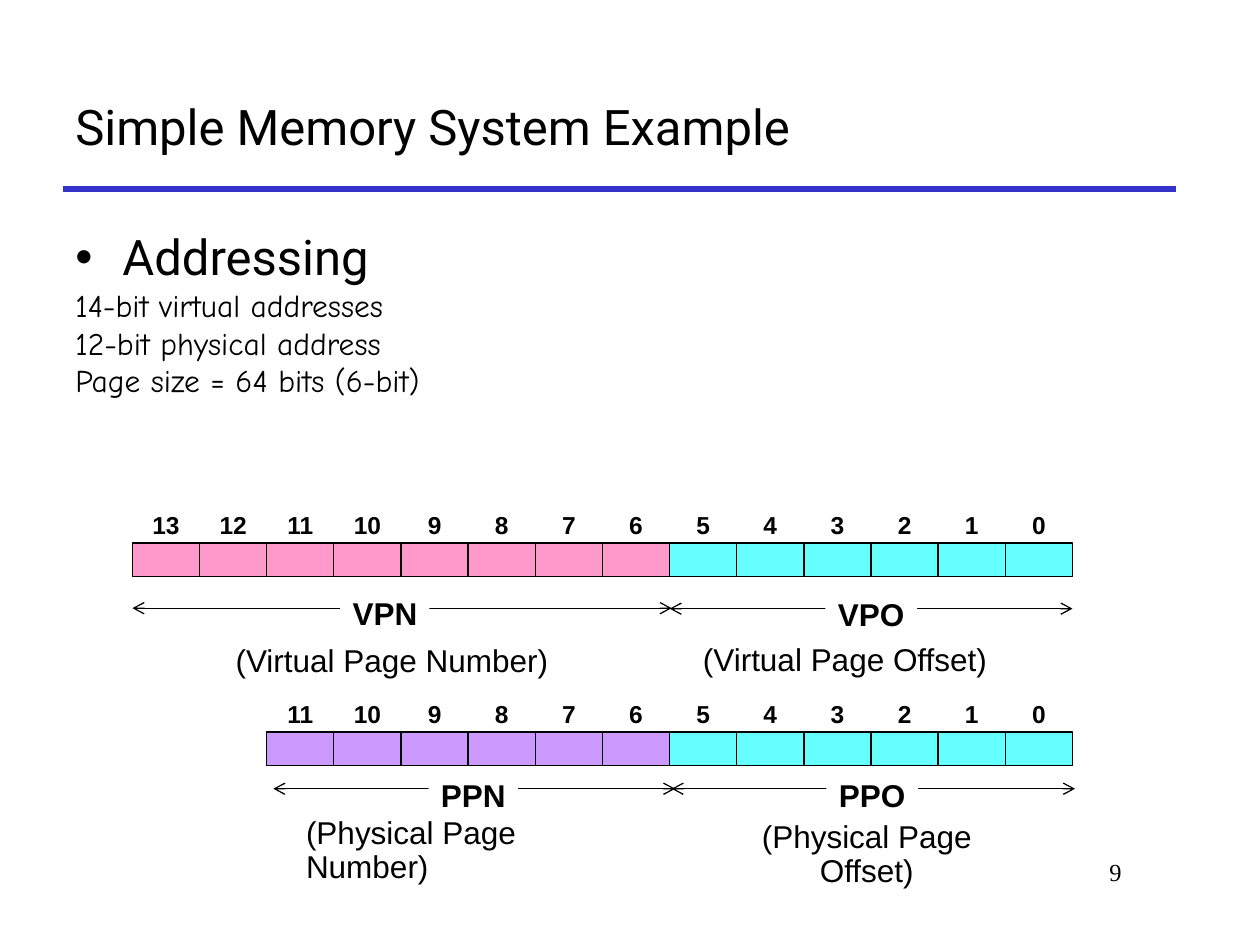
from dataclasses import dataclass

from lxml import etree
from pptx import Presentation
from pptx.dml.color import RGBColor
from pptx.enum.shapes import MSO_CONNECTOR, MSO_SHAPE
from pptx.enum.text import MSO_ANCHOR, PP_ALIGN
from pptx.oxml.ns import qn
from pptx.util import Cm, Pt

RECTANGLE = MSO_SHAPE.RECTANGLE
STRAIGHT = MSO_CONNECTOR.STRAIGHT
LEFT, CENTER, RIGHT = PP_ALIGN.LEFT, PP_ALIGN.CENTER, PP_ALIGN.RIGHT
TOP, MIDDLE = MSO_ANCHOR.TOP, MSO_ANCHOR.MIDDLE

COLORS = {
    "ink": "000000",
    "paper": "FFFFFF",
    "rule": "3333CC",
    "virtual number": "FF99CC",
    "physical number": "CC99FF",
    "offset": "66FFFF",
}

# All lengths are in centimetres.
ROW_LEFT, ROW_RIGHT = 2.67, 21.62
VIRTUAL_BITS, PHYSICAL_BITS, OFFSET_BITS = 14, 12, 6
BIT_WIDTH = (ROW_RIGHT - ROW_LEFT) / VIRTUAL_BITS
BIT_HEIGHT = 0.67
TAG_HEIGHT = 0.94


@dataclass(frozen=True)
class Style:
    font: str
    size: float
    bold: bool = False
    align: PP_ALIGN = LEFT
    anchor: MSO_ANCHOR = TOP
    wrap: bool = True
    line_spacing: float = 1.0


@dataclass(frozen=True)
class Address:
    bits: int
    top: float
    number_color: str


@dataclass(frozen=True)
class Field:
    tag: str
    meaning: str
    start: float
    end: float
    arrow_y: float
    tag_left: float
    tag_top: float
    tag_width: float
    meaning_left: float
    meaning_top: float
    meaning_width: float
    meaning_style: Style


TITLE = Style("Roboto", 28, anchor=MIDDLE)
HEADING = Style("Roboto", 28)
DETAIL = Style("Comic Neue", 18)
PAGE_NUMBER = Style("Times New Roman", 14, align=RIGHT)
BIT = Style("Arial", 14, True, CENTER, MIDDLE, False, 0.9)
TAG = Style("Arial", 18, True, wrap=False, line_spacing=0.9)
MEANING = Style("Arial", 18, wrap=False, line_spacing=0.9)
WRAPPED = Style("Arial", 18, line_spacing=0.9)
WRAPPED_CENTER = Style("Arial", 18, align=CENTER, line_spacing=0.9)

ADDRESSES = [
    Address(VIRTUAL_BITS, 10.95, "virtual number"),
    Address(PHYSICAL_BITS, 14.76, "physical number"),
]
FIELDS = [
    Field("VPO", "(Virtual Page Offset)", 13.5, 21.62, 12.27,
          16.64, 11.96, 1.85, 13.92, 12.87, 6.25, MEANING),
    Field("PPO", "(Physical Page Offset)", 13.54, 21.67, 15.9,
          16.66, 15.6, 1.85, 14.3, 16.43, 6.35, WRAPPED_CENTER),
    Field("PPN", "(Physical Page Number)", 5.51, 13.61, 15.9,
          8.64, 15.6, 1.8, 5.92, 16.36, 6.35, WRAPPED),
    Field("VPN", "(Virtual Page Number)", 2.67, 13.54, 12.26,
          6.86, 11.94, 1.8, 4.5, 12.88, 6.81, MEANING),
]
DETAILS = [
    "14-bit virtual addresses",
    "12-bit physical address",
    "Page size = 64 bits (6-bit)",
]


def rgb(name: str) -> RGBColor:
    return RGBColor.from_string(COLORS[name])


def write(paragraph, text: str, style: Style) -> None:
    paragraph.alignment = style.align
    paragraph.line_spacing = style.line_spacing
    run = paragraph.add_run()
    run.text = text
    run.font.name = style.font
    run.font.size = Pt(style.size)
    run.font.bold = style.bold
    run.font.color.rgb = rgb("ink")


def fill_frame(frame, text: str, style: Style) -> None:
    frame.word_wrap = style.wrap
    frame.vertical_anchor = style.anchor
    write(frame.paragraphs[0], text, style)


def add_text(slide, left: float, top: float, width: float, height: float,
             text: str, style: Style):
    box = slide.shapes.add_textbox(Cm(left), Cm(top), Cm(width), Cm(height))
    fill_frame(box.text_frame, text, style)
    return box.text_frame


def add_rectangle(slide, left: float, top: float, width: float, height: float,
                  color: str):
    rectangle = slide.shapes.add_shape(
        RECTANGLE, Cm(left), Cm(top), Cm(width), Cm(height))
    rectangle.shadow.inherit = False
    rectangle.fill.solid()
    rectangle.fill.fore_color.rgb = rgb(color)
    return rectangle


def add_line(slide, start: float, end: float, y: float, color: str,
             weight: float, arrows: bool = False) -> None:
    """Draw a horizontal line, with open arrowheads at both ends if asked."""
    line = slide.shapes.add_connector(STRAIGHT, Cm(start), Cm(y), Cm(end), Cm(y))
    line.line.color.rgb = rgb(color)
    line.line.width = Pt(weight)
    if arrows:
        outline = line.line._get_or_add_ln()
        for end_name in ("a:headEnd", "a:tailEnd"):
            etree.SubElement(outline, qn(end_name), type="arrow")
    etree.SubElement(line._element.spPr, qn("a:effectLst"))


def add_body(slide) -> None:
    frame = add_text(slide, 1.27, 4.45, 23.06, 5.28, "Addressing", HEADING)
    properties = frame.paragraphs[0]._p.get_or_add_pPr()
    properties.set("marL", str(Cm(0.95)))
    properties.set("indent", str(Cm(-0.95)))
    etree.SubElement(properties, qn("a:buFont"), typeface="Arial")
    etree.SubElement(properties, qn("a:buChar"), char="•")
    for detail in DETAILS:
        write(frame.add_paragraph(), detail, DETAIL)


def add_address(slide, address: Address) -> None:
    """Draw numbered bit cells, highest bit first, aligned to the right."""
    for bit in reversed(range(address.bits)):
        left = ROW_RIGHT - (bit + 1) * BIT_WIDTH
        color = "offset" if bit < OFFSET_BITS else address.number_color
        cell = add_rectangle(slide, left, address.top, BIT_WIDTH, BIT_HEIGHT, color)
        cell.line.color.rgb = rgb("ink")
        cell.line.width = Pt(0.75)
        add_text(slide, left, address.top - BIT_HEIGHT, BIT_WIDTH, BIT_HEIGHT,
                 str(bit), BIT)


def add_field(slide, field: Field) -> None:
    add_line(slide, field.start, field.end, field.arrow_y, "ink", 0.75, arrows=True)
    tag = add_rectangle(slide, field.tag_left, field.tag_top,
                        field.tag_width, TAG_HEIGHT, "paper")
    tag.line.fill.background()
    fill_frame(tag.text_frame, field.tag, TAG)
    add_text(slide, field.meaning_left, field.meaning_top, field.meaning_width,
             TAG_HEIGHT, field.meaning, field.meaning_style)


def main() -> None:
    presentation = Presentation()
    presentation.slide_width, presentation.slide_height = Cm(25.4), Cm(19.05)
    slide = presentation.slides.add_slide(presentation.slide_layouts[6])
    add_line(slide, 1.27, 23.7, 3.81, "rule", 3)
    add_text(slide, 19.25, 17.15, 3.61, 1.27, "9", PAGE_NUMBER)
    add_text(slide, 1.27, 1.27, 22.43, 2.54, "Simple Memory System Example", TITLE)
    add_body(slide)
    for address in ADDRESSES:
        add_address(slide, address)
    for field in FIELDS:
        add_field(slide, field)
    presentation.save("out.pptx")


if __name__ == "__main__":
    main()
